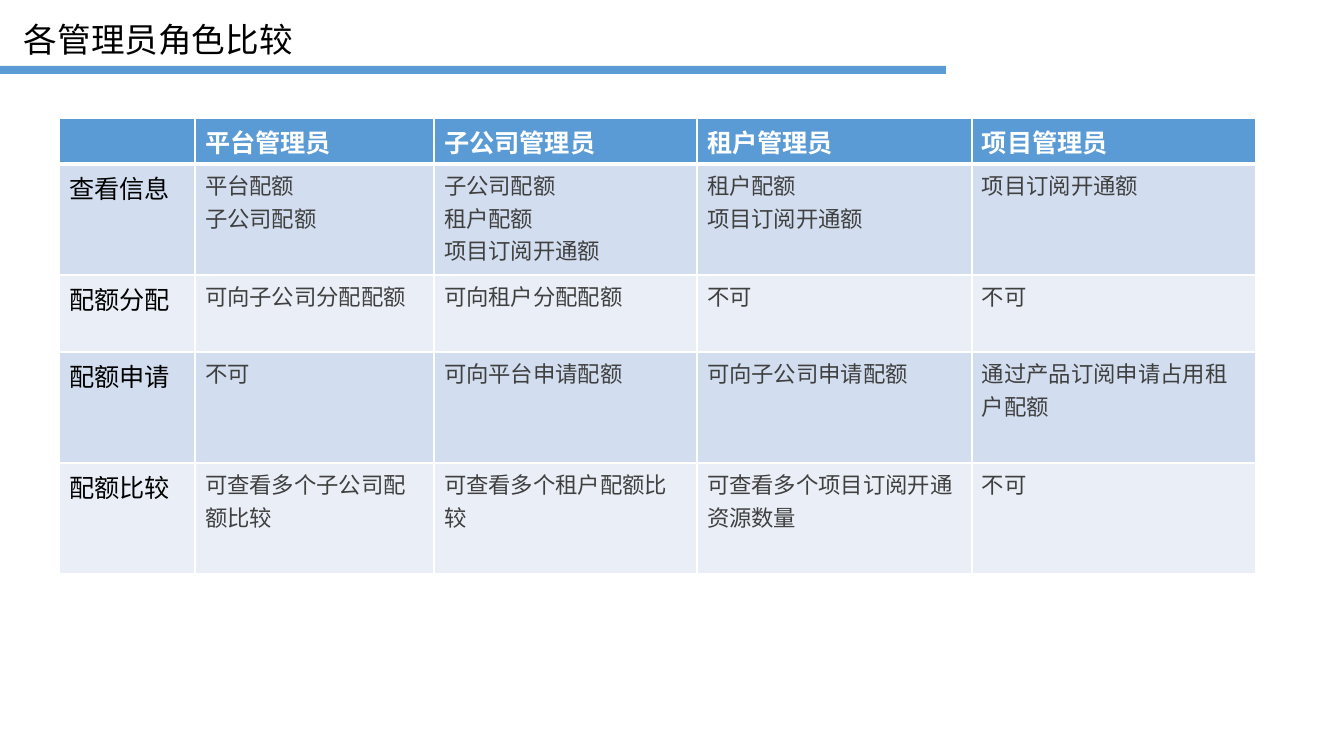
from lxml import etree
from pptx import Presentation
from pptx.dml.color import RGBColor
from pptx.enum import shapes
from pptx.oxml import ns
from pptx import util as u

TITLE = "各管理员角色比较"
ROLES = ["", "平台管理员", "子公司管理员", "租户管理员", "项目管理员"]
ABILITIES = [
    ["查看信息", "平台配额\n子公司配额", "子公司配额\n租户配额\n项目订阅开通额",
     "租户配额\n项目订阅开通额", "项目订阅开通额"],
    ["配额分配", "可向子公司分配配额", "可向租户分配配额", "不可", "不可"],
    ["配额申请", "不可", "可向平台申请配额", "可向子公司申请配额",
     "通过产品订阅申请占用租户配额"],
    ["配额比较", "可查看多个子公司配额比较", "可查看多个租户配额比较",
     "可查看多个项目订阅开通资源数量", "不可"],
]
COLUMN_WIDTHS = [136, 239, 263, 275, 284]
ROW_HEIGHTS = [46, 111, 77, 111, 111]

FONT = "Calibri"
BLUE = RGBColor(0x5B, 0x9B, 0xD5)
BANDS = [RGBColor(0xD2, 0xDE, 0xEF), RGBColor(0xEA, 0xEF, 0xF7)]
WHITE = RGBColor(0xFF, 0xFF, 0xFF)
BLACK = RGBColor(0, 0, 0)
GREY = RGBColor(0x40, 0x40, 0x40)


def px(length):
    return u.Emu(round(length * 914400 / 100.8))


def style_text(frame, size, color, bold=False):
    for paragraph in frame.paragraphs:
        for run in paragraph.runs:
            run.font.name = FONT
            run.font.size = u.Pt(size)
            run.font.bold = bold
            run.font.color.rgb = color


def add_borders(cell, top, bottom):
    """Draw white cell edges; must run before the fill is set."""
    properties = cell._tc.get_or_add_tcPr()
    for side, width in (("L", 1), ("R", 1), ("T", top), ("B", bottom)):
        edge = etree.SubElement(properties, ns.qn(f"a:ln{side}"), w=str(u.Pt(width)))
        fill = etree.SubElement(edge, ns.qn("a:solidFill"))
        etree.SubElement(fill, ns.qn("a:srgbClr"), val=str(WHITE))


def add_heading(slide):
    bar = slide.shapes.add_shape(
        shapes.MSO_SHAPE.RECTANGLE, px(0), px(66), px(946), px(8))
    bar.shadow.inherit = False
    bar.fill.solid()
    bar.fill.fore_color.rgb = BLUE
    bar.line.fill.background()

    title = slide.shapes.add_textbox(px(14), px(14), px(850), px(50)).text_frame
    title.word_wrap = True
    title.text = TITLE
    style_text(title, 24, BLACK)


def add_comparison(slide):
    rows = [ROLES] + ABILITIES
    table = slide.shapes.add_table(
        len(rows), len(ROLES), px(59), px(118),
        px(sum(COLUMN_WIDTHS)), px(sum(ROW_HEIGHTS))).table
    for column, width in zip(table.columns, COLUMN_WIDTHS):
        column.width = px(width)
    for row, height in zip(table.rows, ROW_HEIGHTS):
        row.height = px(height)

    for r, row in enumerate(rows):
        is_header = r == 0
        for c, wording in enumerate(row):
            cell = table.cell(r, c)
            add_borders(cell, top=3 if r == 1 else 1, bottom=3 if is_header else 1)
            cell.fill.solid()
            cell.fill.fore_color.rgb = BLUE if is_header else BANDS[(r - 1) % 2]
            cell.text_frame.text = wording
            if is_header:
                style_text(cell.text_frame, 18, WHITE, bold=True)
            elif c == 0:
                style_text(cell.text_frame, 18, BLACK)
            else:
                style_text(cell.text_frame, 16, GREY)


def main():
    deck = Presentation()
    deck.slide_width, deck.slide_height = px(1344), px(756)
    slide = deck.slides.add_slide(deck.slide_layouts[6])
    add_heading(slide)
    add_comparison(slide)
    deck.save("out.pptx")


if __name__ == "__main__":
    main()
